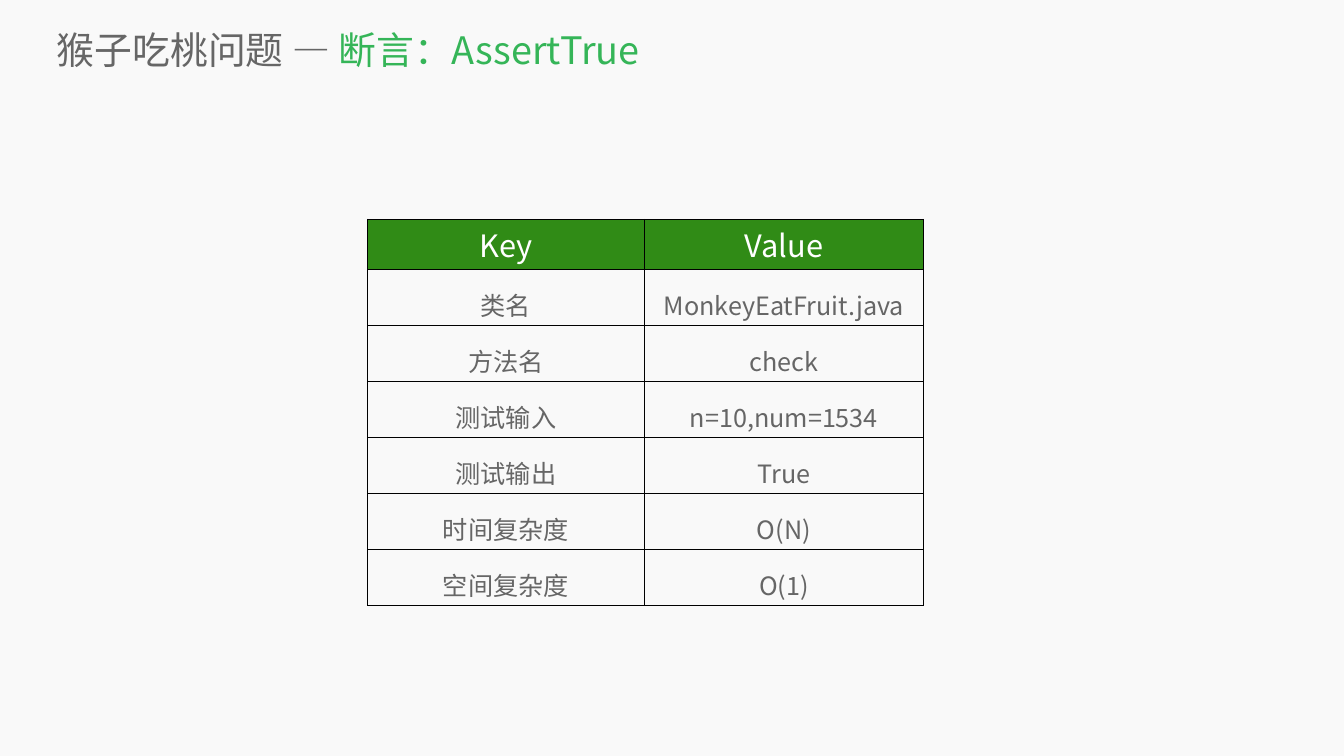
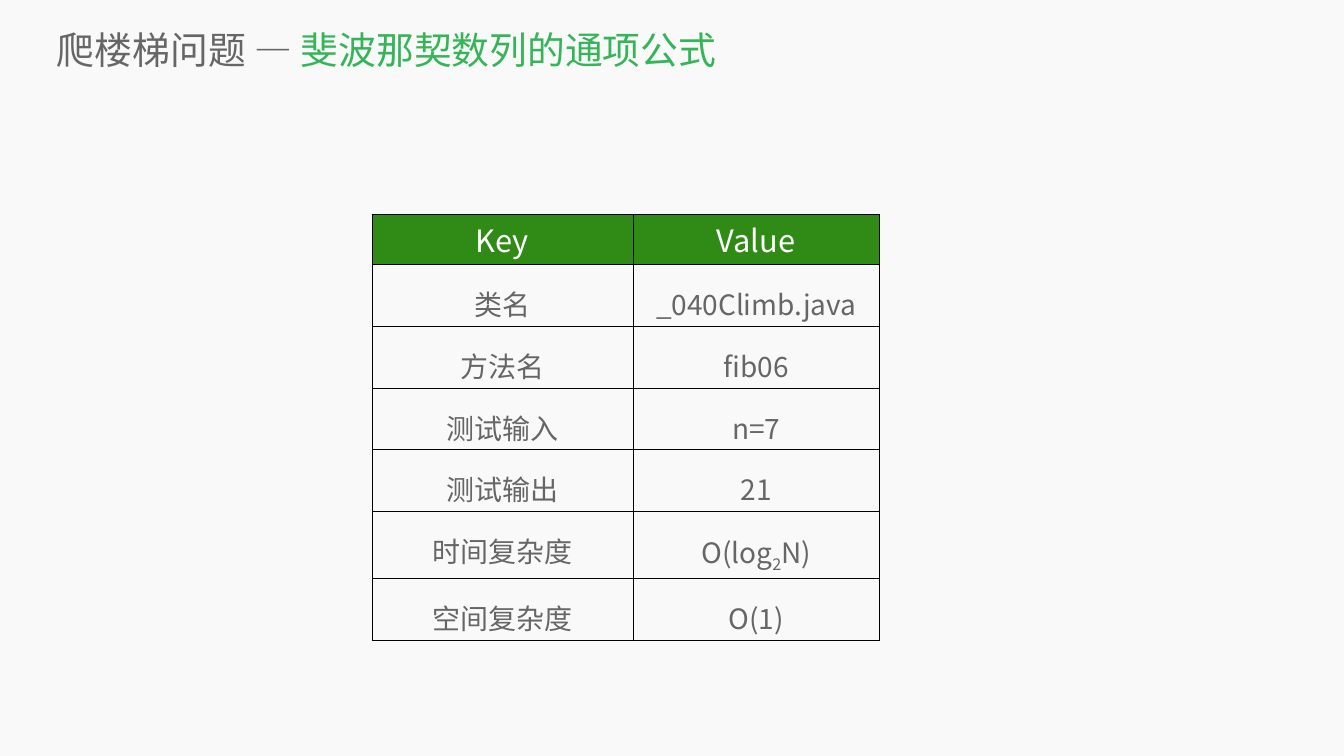
import pptx
import pptx.dml.color
import pptx.enum.text
import pptx.oxml
import pptx.oxml.ns
import pptx.util
from pptx.util import Inches

COLORS = {
    "background": "F9F9F9",
    "text": "666666",
    "accent": "35B558",
    "header": "308B16",
    "header text": "FFFFFF",
    "border": "000000",
}
FONT = "Noto Sans CJK SC"
TITLE_BOX = {"left": 1.13, "top": 0.47, "width": 25.16, "height": 1.02}
TITLE_SIZE = 54
HEADER = ("Key", "Value")
HEADER_SIZE = 44
KEYS = ("类名", "方法名", "测试输入", "测试输出", "时间复杂度", "空间复杂度")
SUBSCRIPT = "-25000"

# A value given as a tuple alternates normal and subscript text.
PROBLEMS = [
    {
        "problem": "猴子吃桃问题",
        "topic": "断言：AssertTrue",
        "values": ("MonkeyEatFruit.java", "check", "n=10,num=1534", "True", "O(N)", "O(1)"),
        "corner": (7.29, 4.35),
        "columns": (5.5, 5.53),
        "header height": 0.85,
        "row height": 0.83,
        "size": 36,
    },
    {
        "problem": "爬楼梯问题",
        "topic": "斐波那契数列的通项公式",
        "values": ("_040Climb.java", "fib06", "n=7", "21", ("O(log", "2", "N)"), "O(1)"),
        "corner": (7.38, 4.26),
        "columns": (5.18, 4.89),
        "header height": 0.93,
        "row height": 1.03,
        "size": 40,
    },
]


def rgb(name):
    return pptx.dml.color.RGBColor.from_string(COLORS[name])


def add_run(paragraph, text, size, color):
    run = paragraph.add_run()
    run.text = text
    formats = {"name": FONT, "size": pptx.util.Pt(size), "bold": False}
    for attribute, value in formats.items():
        setattr(run.font, attribute, value)
    run.font.color.rgb = rgb(color)
    properties = run._r.get_or_add_rPr()
    east_asian = pptx.oxml.parse_xml(
        f'<a:ea {pptx.oxml.ns.nsdecls("a")} typeface="{FONT}"/>')
    properties.find(pptx.oxml.ns.qn("a:latin")).addnext(east_asian)
    return run


def add_title(slide, problem, topic):
    title = slide.shapes.title
    for side, length in TITLE_BOX.items():
        setattr(title, side, Inches(length))
    frame = title.text_frame
    formats = {
        "margin_left": 0, "margin_top": 0, "margin_right": 0, "margin_bottom": 0,
        "vertical_anchor": pptx.enum.text.MSO_ANCHOR.MIDDLE,
        "word_wrap": True,
        "auto_size": pptx.enum.text.MSO_AUTO_SIZE.NONE,
    }
    for attribute, value in formats.items():
        setattr(frame, attribute, value)
    heading = frame.paragraphs[0]
    heading.alignment = pptx.enum.text.PP_ALIGN.LEFT
    add_run(heading, f"{problem} — ", TITLE_SIZE, "text")
    add_run(heading, topic, TITLE_SIZE, "accent")


def add_borders(cell):
    """Outline a cell; the lines must come before its fill in the XML."""
    properties = cell._tc.get_or_add_tcPr()
    for index, side in enumerate("LRTB"):
        properties.insert(index, pptx.oxml.parse_xml(
            f'<a:ln{side} {pptx.oxml.ns.nsdecls("a")} w="{pptx.util.Pt(1)}">'
            f'<a:solidFill><a:srgbClr val="{COLORS["border"]}"/></a:solidFill>'
            f'</a:ln{side}>'))


def fill_cell(cell, content, size, is_header):
    if is_header:
        cell.fill.solid()
        cell.fill.fore_color.rgb = rgb("header")
    else:
        cell.fill.background()
    add_borders(cell)
    line = cell.text_frame.paragraphs[0]
    line.alignment = pptx.enum.text.PP_ALIGN.CENTER
    if not is_header:
        line.line_spacing = 1.4
    parts = (content,) if isinstance(content, str) else content
    for index, part in enumerate(parts):
        run = add_run(line, part, size, "header text" if is_header else "text")
        if index % 2:
            run._r.get_or_add_rPr().set("baseline", SUBSCRIPT)


def add_summary(slide, problem):
    rows = [HEADER, *zip(KEYS, problem["values"])]
    heights = [problem["header height"]] + [problem["row height"]] * len(KEYS)
    left, top = problem["corner"]
    summary = slide.shapes.add_table(
        len(rows), len(HEADER), Inches(left), Inches(top),
        Inches(sum(problem["columns"])), Inches(sum(heights))).table
    summary.horz_banding = False
    for column, width in zip(summary.columns, problem["columns"]):
        column.width = Inches(width)
    for index, (row, height) in enumerate(zip(rows, heights)):
        summary.rows[index].height = Inches(height)
        is_header = index == 0
        size = HEADER_SIZE if is_header else problem["size"]
        for cell, content in zip(summary.rows[index].cells, row):
            fill_cell(cell, content, size, is_header)


def main():
    deck = pptx.Presentation()
    deck.slide_width, deck.slide_height = Inches(26.67), Inches(15)
    backdrop = deck.slide_master.background.fill
    backdrop.solid()
    backdrop.fore_color.rgb = rgb("background")
    for problem in PROBLEMS:
        slide = deck.slides.add_slide(deck.slide_layouts[0])
        subtitle = slide.placeholders[1].element
        subtitle.getparent().remove(subtitle)
        add_title(slide, problem["problem"], problem["topic"])
        add_summary(slide, problem)
    deck.save("out.pptx")


if __name__ == "__main__":
    main()
